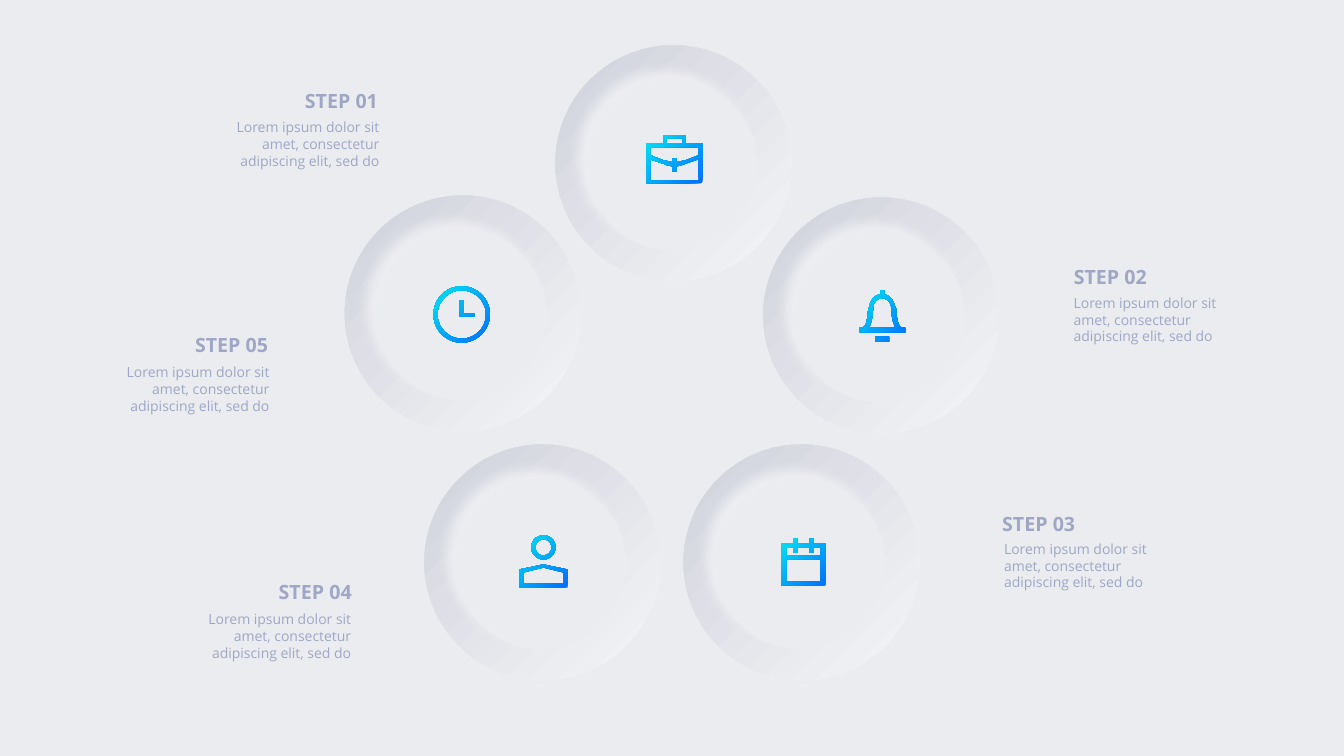
from math import cos, pi, sin

from lxml.etree import SubElement
from pptx import Presentation
from pptx.dml.color import RGBColor
from pptx.enum.shapes import MSO_SHAPE
from pptx.enum.text import MSO_ANCHOR, MSO_AUTO_SIZE, PP_ALIGN
from pptx.oxml.ns import qn
from pptx.util import Inches, Pt

BASE = "EBECF0"
INK = "9FA7C4"
FONT = "Open Sans"
BODY = "Lorem ipsum dolor sit amet, consectetur adipiscing elit, sed do"
LEFT, RIGHT = PP_ALIGN.LEFT, PP_ALIGN.RIGHT


def color(code):
    return RGBColor.from_string(code)


def blend(shape, first, last):
    shape.fill.gradient()
    shape.fill.gradient_angle = 135
    for stop, code in zip(shape.fill.gradient_stops, (first, last)):
        stop.color.rgb = color(code)


def plain(shape):
    shape.shadow.inherit = False
    shape.line.fill.background()


def glow(shape):
    effects = shape._element.spPr.find(qn("a:effectLst"))
    outer = SubElement(effects, qn("a:outerShdw"), blurRad=str(Pt(9)),
                       dist=str(Pt(9)), dir=str(225 * 60000),
                       algn="ctr", rotWithShape="0")
    tint = SubElement(outer, qn("a:srgbClr"), val="FFFFFF")
    SubElement(tint, qn("a:alpha"), val="56000")


def disc(slide, x, y):
    group = slide.shapes.add_group_shape()
    rim, face = [
        group.shapes.add_shape(MSO_SHAPE.OVAL, Inches(x + dx), Inches(y + dy),
                               Inches(size), Inches(size))
        for dx, dy, size in ((0, 0, 2.34), (0.31, 0.34, 1.69))]
    plain(rim)
    plain(face)
    blend(rim, "F4F5F7", "D0D2DC")
    face.fill.solid()
    face.fill.fore_color.rgb = color(BASE)
    glow(face)


def mirror(half):
    return half + [(-x, y) for x, y in reversed(half)]


def ring(y, size):
    turns = [2 * pi * i / 60 for i in range(60)]
    return [(size * cos(t), y + size * sin(t)) for t in turns]


def bend(a, b, c, d, steps=10):
    curve = []
    for i in range(steps + 1):
        t = i / steps
        parts = ((1 - t) ** 3, 3 * t * (1 - t) ** 2, 3 * t * t * (1 - t), t ** 3)
        curve.append(tuple(sum(p * q[axis] for p, q in zip(parts, (a, b, c, d)))
                           for axis in (0, 1)))
    return curve


def icon(slide, x, y, loops):
    loops = [[(Inches(a), Inches(b)) for a, b in loop] for loop in loops]
    pen = slide.shapes.build_freeform(*loops[0][0])
    for i, loop in enumerate(loops):
        if i:
            pen.move_to(*loop[0])
        pen.add_line_segments(loop[1:], close=True)
    shape = pen.convert_to_shape(Inches(x), Inches(y))
    plain(shape)
    blend(shape, "006EFF", "00E6F2")


def label(slide, box, words, size, align, bold=False):
    frame = slide.shapes.add_textbox(*map(Inches, box)).text_frame
    frame.word_wrap = not bold
    if bold:
        frame.margin_left = frame.margin_right = 0
        frame.margin_top = frame.margin_bottom = 0
        frame.auto_size = MSO_AUTO_SIZE.SHAPE_TO_FIT_TEXT
    else:
        frame.vertical_anchor = MSO_ANCHOR.MIDDLE
    line = frame.paragraphs[0]
    line.alignment = align
    run = line.add_run()
    run.text = words
    run.font.name = FONT
    run.font.size = Pt(size)
    run.font.bold = bold
    run.font.color.rgb = color(INK)


CASE = [
    mirror([(-0.11, 0), (-0.11, 0.08), (-0.28, 0.08), (-0.28, 0.48)]),
    mirror([(-0.08, 0.03), (-0.08, 0.08)]),
    mirror([(-0.24, 0.12), (-0.24, 0.2), (-0.11, 0.25), (-0.06, 0.26),
            (-0.02, 0.27), (-0.02, 0.23)]),
    mirror([(-0.24, 0.45), (-0.24, 0.24), (-0.12, 0.28), (-0.07, 0.3),
            (-0.02, 0.31), (-0.02, 0.36)]),
]
BELL = [
    mirror([(-0.02, 0)]
           + bend((-0.02, 0.04), (-0.08, 0.05), (-0.12, 0.11), (-0.13, 0.17))
           + bend((-0.14, 0.18), (-0.14, 0.27), (-0.16, 0.37), (-0.2, 0.37))
           + [(-0.23, 0.37), (-0.23, 0.42)]),
    mirror(bend((0, 0.08), (-0.05, 0.08), (-0.09, 0.12), (-0.09, 0.18))
           + bend((-0.09, 0.18), (-0.09, 0.22), (-0.1, 0.31), (-0.13, 0.37))),
    mirror([(-0.07, 0.46), (-0.07, 0.51)]),
]
DATES = [
    mirror([(-0.06, 0.05), (-0.06, 0), (-0.1, 0), (-0.1, 0.05),
            (-0.22, 0.05), (-0.22, 0.47)]),
    mirror([(-0.17, 0.21), (-0.17, 0.43)]),
    mirror([(-0.06, 0.09), (-0.06, 0.14), (-0.1, 0.14), (-0.1, 0.09),
            (-0.17, 0.09), (-0.17, 0.17)]),
]
USER = [
    mirror([(0, 0.29), (-0.24, 0.34), (-0.24, 0.52)]),
    mirror([(0, 0.32), (-0.2, 0.37), (-0.2, 0.48)]),
    ring(0.12, 0.12),
    ring(0.12, 0.08),
]
CLOCK = [
    ring(0.28, 0.28),
    ring(0.28, 0.24),
    [(0.13, 0.3), (-0.02, 0.3), (-0.02, 0.14), (0.02, 0.14),
     (0.02, 0.27), (0.13, 0.27)],
]

STEPS = [
    ("STEP 01", RIGHT, (3.02, 0.88), (2.24, 1.01), (5.51, 0.45), (6.69, 1.34), CASE),
    ("STEP 02", LEFT, (10.65, 2.63), (10.55, 2.75), (7.57, 1.96), (8.75, 2.88), BELL),
    ("STEP 03", LEFT, (9.94, 5.08), (9.86, 5.19), (6.78, 4.41), (7.97, 5.34), DATES),
    ("STEP 04", RIGHT, (2.76, 5.75), (1.96, 5.89), (4.21, 4.41), (5.39, 5.31), USER),
    ("STEP 05", RIGHT, (1.93, 3.3), (1.15, 3.44), (3.42, 1.94), (4.58, 2.84), CLOCK),
]


def main():
    deck = Presentation()
    deck.slide_width, deck.slide_height = Inches(13.33), Inches(7.5)
    slide = deck.slides.add_slide(deck.slide_layouts[6])
    slide.background.fill.solid()
    slide.background.fill.fore_color.rgb = color(BASE)
    for name, align, head, body, spot, mark, loops in STEPS:
        label(slide, (*head, 0.73, 0.24), name, 14, align, True)
        disc(slide, *spot)
        icon(slide, *mark, loops)
        label(slide, (*body, 1.62, 0.84), BODY, 10, align)
    deck.save("out.pptx")


if __name__ == "__main__":
    main()
